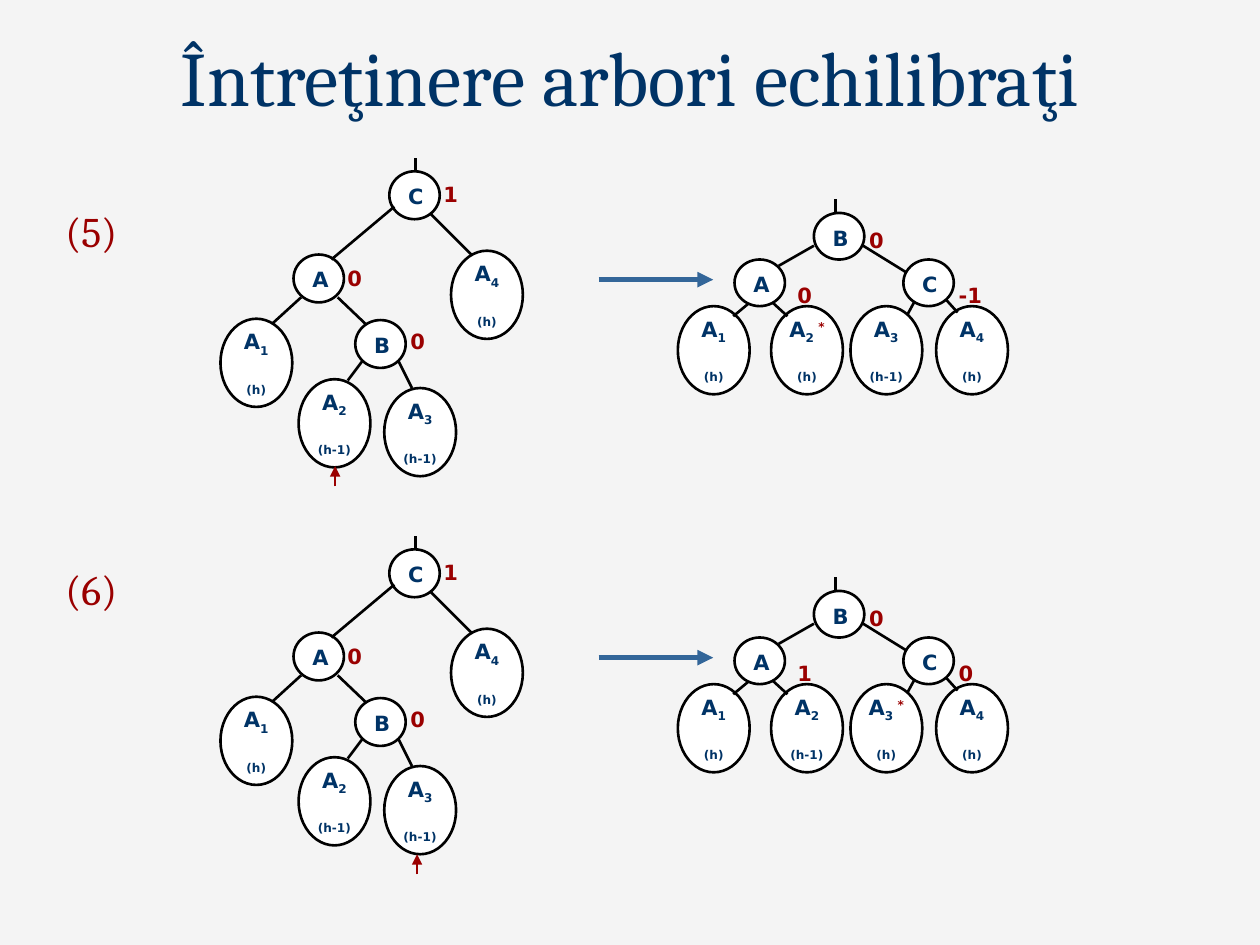
"""Build a slide showing two rebalancing cases of height-balanced trees."""
import pptx
import pptx.dml.color
import pptx.enum.shapes
import pptx.enum.text
import pptx.oxml
import pptx.oxml.ns
import pptx.util

NAVY, RED, BLUE, BLACK, WHITE, PAPER = "003366", "9A0000", "336699", "000000", "FFFFFF", "F4F4F4"
SERIF, SANS = "Cambria", "DejaVu Sans"
TITLE = "Întreţinere arbori echilibraţi"
ROW_PITCH = 3
LEAF_SIZE = (0.57, 0.7)

BEFORE = {
    "node_size": (0.4, 0.38),
    "nodes": {"A": (2.33, 2.02), "B": (2.82, 2.54), "C": (3.09, 1.36)},
    "leaves": [(1.75, 2.53), (2.37, 3.01), (3.05, 3.08), (3.58, 1.99)],
    "edges": [
        (3.3, 1.36, 3.3, 1.25), (3.41, 1.69, 3.74, 2.02), (3.13, 1.64, 2.63, 2.06),
        (2.39, 2.36, 2.16, 2.57), (2.68, 2.36, 2.9, 2.57),
        (2.88, 2.86, 2.76, 3.02), (3.16, 2.86, 3.27, 3.08),
    ],
    "balances": {"A": (2.66, 2.06), "B": (3.16, 2.56), "C": (3.42, 1.39)},
}
AFTER = {
    "node_size": (0.4, 0.37),
    "nodes": {"A": (5.83, 2.06), "B": (6.46, 1.69), "C": (7.17, 2.06)},
    "leaves": [(5.38, 2.43), (6.12, 2.43), (6.75, 2.43), (7.43, 2.43)],
    "edges": [
        (6.63, 1.69, 6.63, 1.58), (6.85, 1.95, 7.19, 2.16), (6.46, 1.95, 6.18, 2.11),
        (5.94, 2.41, 5.82, 2.51), (6.13, 2.4, 6.25, 2.51),
        (7.26, 2.39, 7.2, 2.5), (7.51, 2.38, 7.6, 2.48),
    ],
    "balances": {"A": (6.23, 2.19), "B": (6.8, 1.76), "C": (7.51, 2.19)},
}
HEIGHTS_BEFORE = ["(h)", "(h-1)", "(h-1)", "(h)"]
BALANCES_BEFORE = {"A": "0", "B": "0", "C": "1"}
CASES = [
    {"label": "(5)", "label_top": 1.58, "insertion": (2.66, 3.86), "grown_leaf": 2,
     "heights": ["(h)", "(h)", "(h-1)", "(h)"], "balances": {"A": "0", "B": "0", "C": "-1"}},
    {"label": "(6)", "label_top": 4.42, "insertion": (3.31, 3.94), "grown_leaf": 3,
     "heights": ["(h)", "(h-1)", "(h)", "(h)"], "balances": {"A": "1", "B": "0", "C": "0"}},
]


def color(value):
    return pptx.dml.color.RGBColor.from_string(value)


def inches(*values):
    return [pptx.util.Inches(value) for value in values]


def add_run(paragraph, text, size, font, ink, bold=False, baseline=0):
    run = paragraph.add_run()
    run.text = text
    run.font.size = pptx.util.Pt(size)
    run.font.name = font
    run.font.bold = bold
    run.font.color.rgb = color(ink)
    if baseline:
        run.font._element.set("baseline", str(baseline * 1000))


def add_label(shapes, text, left, top, width, height, size, font, ink, bold=False):
    frame = shapes.add_textbox(*inches(left, top, width, height)).text_frame
    frame.word_wrap = True
    add_run(frame.paragraphs[0], text, size, font, ink, bold)


def add_line(shapes, start_x, start_y, end_x, end_y, ink=BLACK, width=1.5, arrow=False):
    line = shapes.add_connector(
        pptx.enum.shapes.MSO_CONNECTOR.STRAIGHT, *inches(start_x, start_y, end_x, end_y))
    line.line.color.rgb = color(ink)
    line.line.width = pptx.util.Pt(width)
    if arrow:
        head = pptx.oxml.parse_xml(
            '<a:tailEnd %s type="triangle"/>' % pptx.oxml.ns.nsdecls("a"))
        line.line._get_or_add_ln().append(head)
    line._element.spPr.append(
        pptx.oxml.parse_xml("<a:effectLst %s/>" % pptx.oxml.ns.nsdecls("a")))


def add_ellipse(shapes, left, top, size):
    ellipse = shapes.add_shape(
        pptx.enum.shapes.MSO_SHAPE.OVAL, *inches(left, top, *size))
    ellipse.shadow.inherit = False
    ellipse.fill.solid()
    ellipse.fill.fore_color.rgb = color(WHITE)
    ellipse.line.color.rgb = color(BLACK)
    ellipse.line.width = pptx.util.Pt(1.5)
    return ellipse


def add_leaf(shapes, left, top, number, height_text, grown):
    frame = add_ellipse(shapes, left, top, LEAF_SIZE).text_frame
    frame.word_wrap = False
    frame.vertical_anchor = pptx.enum.text.MSO_ANCHOR.MIDDLE
    name, height = frame.paragraphs[0], frame.add_paragraph()
    for paragraph in (name, height):
        paragraph.alignment = pptx.enum.text.PP_ALIGN.CENTER
        paragraph.space_before = pptx.util.Pt(6)
    add_run(name, "A", 12, SANS, NAVY, True)
    add_run(name, f"{number} " if grown else str(number), 12, SANS, NAVY, True, -25)
    if grown:
        add_run(name, "*", 12, SANS, RED, True, 30)
    add_run(height, height_text, 12, SANS, NAVY, True, -25)


def add_tree(slide, tree, shift, heights, balances, grown_leaf=None):
    shapes = slide.shapes.add_group_shape().shapes
    for name, (left, top) in tree["nodes"].items():
        add_ellipse(shapes, left, top + shift, tree["node_size"])
        add_label(shapes, name, left + 0.05, top + shift + 0.05, 0.29, 0.3, 12, SANS, NAVY, True)
    for number, ((left, top), height) in enumerate(zip(tree["leaves"], heights), 1):
        add_leaf(shapes, left, top + shift, number, height, number == grown_leaf)
    for start_x, start_y, end_x, end_y in tree["edges"]:
        add_line(shapes, start_x, start_y + shift, end_x, end_y + shift)
    for name, (left, top) in tree["balances"].items():
        add_label(shapes, balances[name], left, top + shift, 0.4, 0.3, 12, SANS, RED, True)
    return shapes


presentation = pptx.Presentation()
presentation.slide_width, presentation.slide_height = inches(10, 7.5)
slide = presentation.slides.add_slide(presentation.slide_layouts[5])
slide.background.fill.solid()
slide.background.fill.fore_color.rgb = color(PAPER)

title = slide.shapes.title
title.left, title.top, title.width, title.height = inches(0, 0.18, 10, 0.84)
title.text_frame.vertical_anchor = pptx.enum.text.MSO_ANCHOR.BOTTOM
title.text_frame.paragraphs[0].alignment = pptx.enum.text.PP_ALIGN.CENTER
add_run(title.text_frame.paragraphs[0], TITLE, 44, SERIF, NAVY)

for row, case in enumerate(CASES):
    shift = row * ROW_PITCH
    before = add_tree(slide, BEFORE, shift, HEIGHTS_BEFORE, BALANCES_BEFORE)
    insertion_x, insertion_y = case["insertion"]
    add_line(before, insertion_x, insertion_y + shift, insertion_x, insertion_y + shift - 0.16,
             RED, arrow=True)
    add_tree(slide, AFTER, shift, case["heights"], case["balances"], case["grown_leaf"])
    add_line(slide.shapes, 4.75, 2.22 + shift, 5.66, 2.22 + shift, BLUE, 3, True)
    add_label(slide.shapes, case["label"], 0.42, case["label_top"], 0.67, 0.5, 24, SERIF, RED)

presentation.save("out.pptx")
